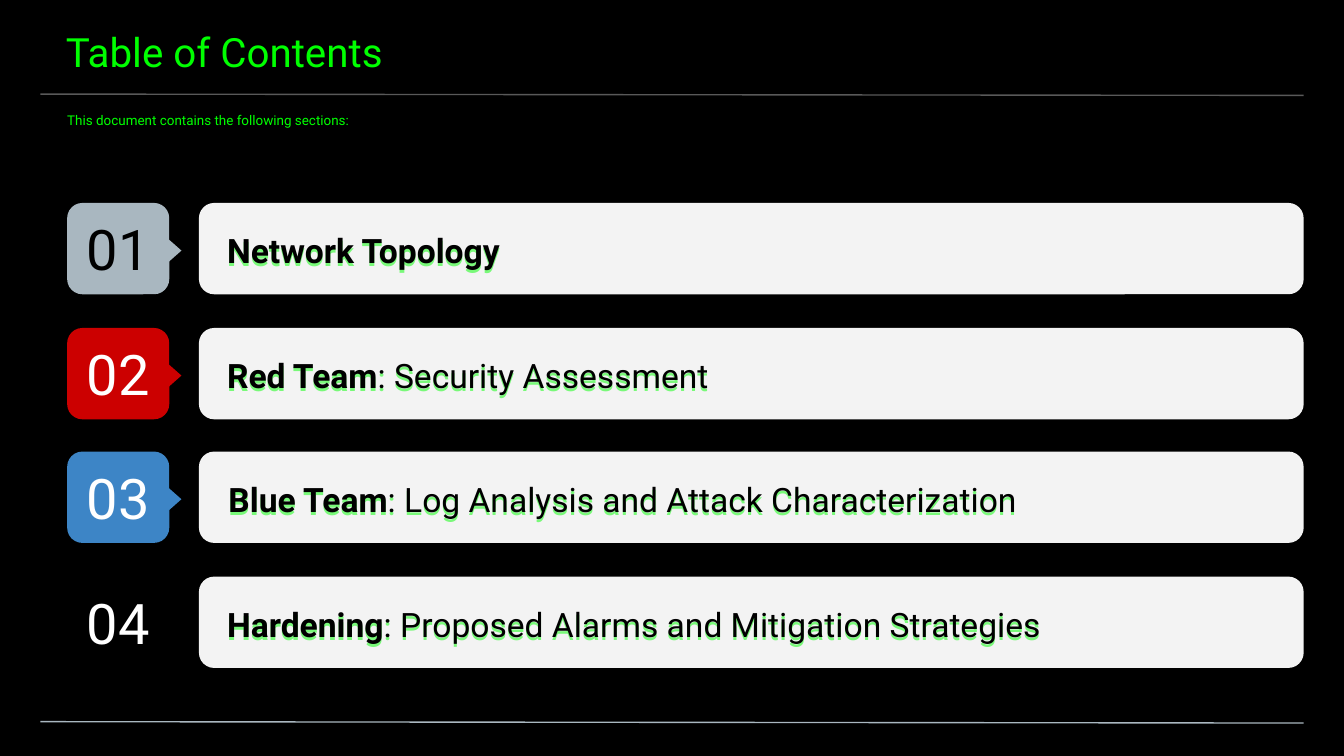
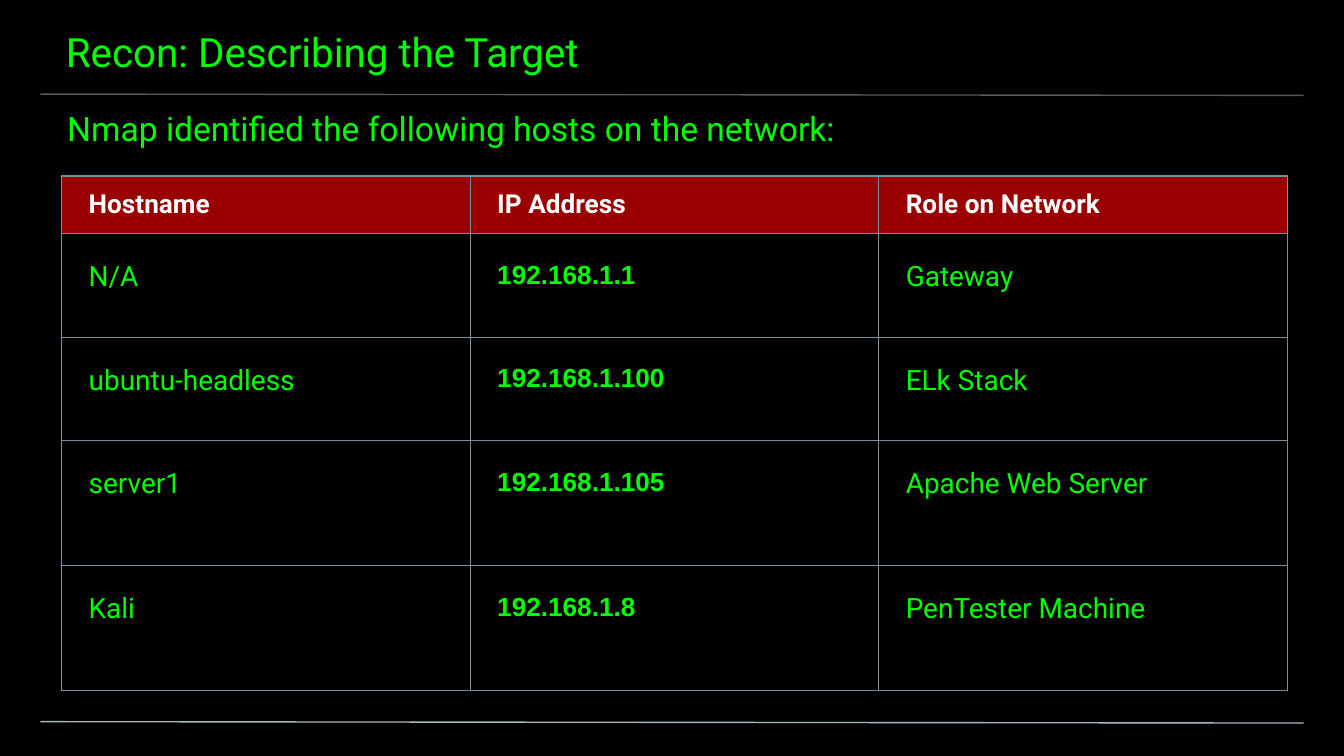
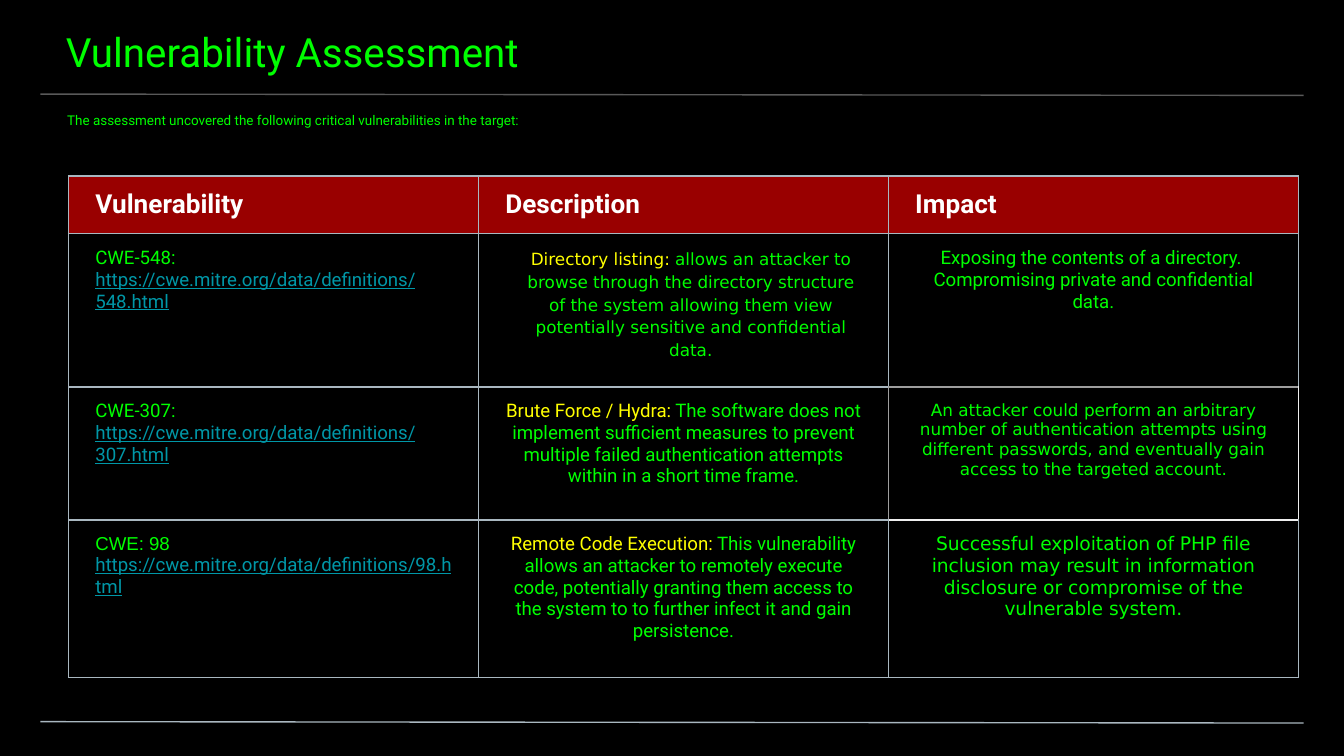
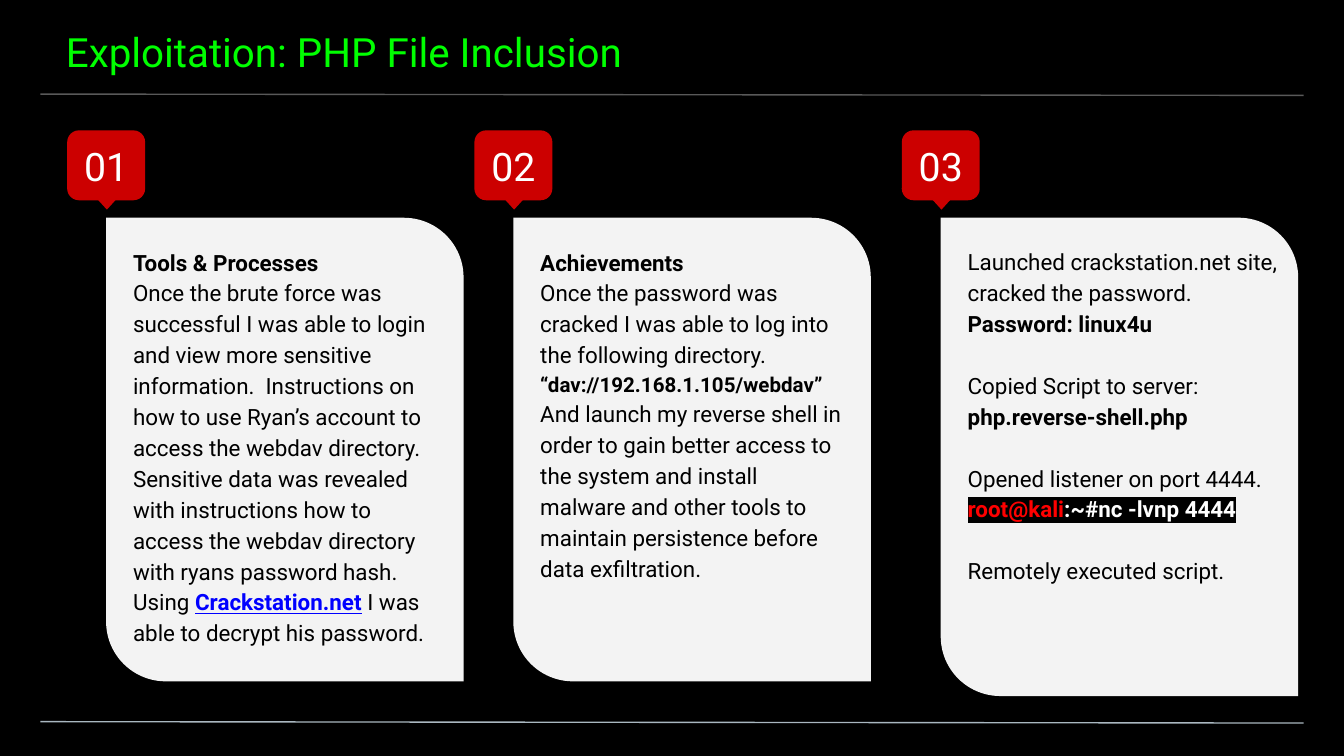
"""Build four slides of a security assessment report."""
from copy import deepcopy
from dataclasses import dataclass
from typing import Any, NamedTuple, Optional

from lxml import etree
from pptx import Presentation
from pptx.dml.color import RGBColor
from pptx.enum.shapes import MSO_CONNECTOR, MSO_SHAPE
from pptx.enum.text import MSO_ANCHOR, MSO_AUTO_SIZE, PP_ALIGN
from pptx.oxml.ns import qn
from pptx.util import Pt

PX = 9144
WIDE = 1000

BLACK = RGBColor(0x00, 0x00, 0x00)
WHITE = RGBColor(0xFF, 0xFF, 0xFF)
GREEN = RGBColor(0x00, 0xFF, 0x00)
YELLOW = RGBColor(0xFF, 0xFF, 0x00)
RED = RGBColor(0xCC, 0x00, 0x00)
BRIGHT = RGBColor(0xFF, 0x00, 0x00)
DARK = RGBColor(0x99, 0x00, 0x00)
BLUE = RGBColor(0x3D, 0x85, 0xC6)
LINK = RGBColor(0x00, 0x00, 0xFF)
TEAL = RGBColor(0x00, 0x97, 0xA7)
SILVER = RGBColor(0xA9, 0xB7, 0xC0)
SLATE = RGBColor(0x78, 0x90, 0x9C)
GREY = RGBColor(0x59, 0x59, 0x59)
ASH = RGBColor(0x9E, 0x9E, 0x9E)
MIST = RGBColor(0xEE, 0xEE, 0xEE)
PALE = RGBColor(0xF3, 0xF3, 0xF3)

SANS, ARIAL, DEJA = "Roboto", "Arial", "DejaVu Sans"
LEFT, CENTER = PP_ALIGN.LEFT, PP_ALIGN.CENTER
TOP, MIDDLE = MSO_ANCHOR.TOP, MSO_ANCHOR.MIDDLE
ROUND = MSO_SHAPE.ROUNDED_RECTANGLE
DIAG = MSO_SHAPE.ROUND_2_DIAG_RECTANGLE
POINT = MSO_SHAPE.FLOWCHART_EXTRACT
STRAIGHT = MSO_CONNECTOR.STRAIGHT


class Box(NamedTuple):
    x: int
    y: int
    w: int
    h: int


class Pad(NamedTuple):
    left: int
    top: int
    right: int
    bottom: int


class Edges(NamedTuple):
    L: RGBColor
    R: RGBColor
    T: RGBColor
    B: RGBColor


@dataclass(frozen=True)
class Run:
    text: str
    size: float = 12
    color: RGBColor = BLACK
    bold: bool = False
    under: bool = False
    font: str = SANS
    mark: Optional[RGBColor] = None
    wrap: bool = False


@dataclass(frozen=True)
class Para:
    runs: tuple[Run, ...]
    align: Any = LEFT
    line: float = 1.0
    before: float = 0
    after: float = 0


CELL = Pad(20, 10, 20, 10)


@dataclass(frozen=True)
class Cell:
    paras: tuple[Para, ...]
    pad: Pad = CELL
    anchor: Any = TOP
    fill: Optional[RGBColor] = BLACK
    edges: Optional[Edges] = None


@dataclass(frozen=True)
class Grid:
    x: int
    y: int
    col: int
    rows: tuple[int, ...]
    edge: RGBColor


@dataclass(frozen=True)
class Topic:
    head: str
    rest: str
    fill: RGBColor
    ink: RGBColor = WHITE
    x: int = -1


@dataclass(frozen=True)
class Panel:
    x: int
    high: int
    wide: int
    paras: tuple[Para, ...]


def apply(target: Any, values: dict[str, Any]) -> None:
    for key, value in values.items():
        setattr(target, key, value)


def scale(box: tuple[int, ...]) -> list[int]:
    return [value * PX for value in box]


def margins(pad: Pad) -> dict[str, int]:
    return {f"margin_{side}": value * PX for side, value in pad._asdict().items()}


def child(parent: Any, tag: str, **attrs: str) -> Any:
    return etree.SubElement(parent, qn(tag), attrs)


def tint(parent: Any, color: RGBColor) -> Any:
    return child(parent, "a:srgbClr", val=str(color))


def write(frame: Any, paras: tuple[Para, ...]) -> None:
    for index, para in enumerate(paras):
        target = frame.add_paragraph() if index else frame.paragraphs[0]
        apply(target, {"alignment": para.align, "line_spacing": para.line,
                       "space_before": Pt(para.before), "space_after": Pt(para.after)})
        for run in para.runs:
            part = target.add_run()
            part.text = run.text
            part.font.color.rgb = run.color
            if run.mark is not None:
                tint(child(part.font._element, "a:highlight"), run.mark)
            apply(part.font, {"size": Pt(run.size), "bold": run.bold,
                              "underline": run.under, "name": run.font})
            if run.wrap:
                target.add_line_break()
                target._p[-1].append(deepcopy(part.font._element))


def fill_text(shape: Any, paras: tuple[Para, ...], pad: Pad, anchor: Any = TOP) -> None:
    frame = shape.text_frame
    apply(frame, {"word_wrap": True, "auto_size": MSO_AUTO_SIZE.NONE,
                  "vertical_anchor": anchor, **margins(pad)})
    write(frame, paras)


def add_text(slide: Any, box: Box, paras: tuple[Para, ...], pad: Pad, anchor: Any = TOP) -> Any:
    shape = slide.shapes.add_textbox(*scale(box))
    fill_text(shape, paras, pad, anchor)
    return shape


def add_form(shapes: Any, kind: Any, box: Box, fill: RGBColor,
             adjust: tuple[float, ...] = (), turn: int = 0) -> Any:
    shape = shapes.add_shape(kind, *scale(box))
    shape.shadow.inherit = False
    shape.fill.solid()
    shape.fill.fore_color.rgb = fill
    shape.line.fill.background()
    shape.rotation = turn
    for index, value in enumerate(adjust):
        shape.adjustments[index] = value
    return shape


def add_badge(slide: Any, box: Box, tip: Box, turn: int, number: int,
              size: int, fill: RGBColor, ink: RGBColor = WHITE) -> None:
    shapes = slide.shapes.add_group_shape().shapes
    tile = add_form(shapes, ROUND, box, fill, (0.167,))
    label = Run(f"{number:02d}", size, ink)
    fill_text(tile, (Para((label,), CENTER),), Pad(10, 10, 10, 10), MIDDLE)
    add_form(shapes, POINT, tip, fill, turn=turn)


def add_rule(slide: Any, y: int, color: RGBColor) -> None:
    rule = slide.shapes.add_connector(STRAIGHT, *scale((30, y, 970, y + 1)))
    rule.line.color.rgb = color
    rule.line.width = Pt(0.75)
    child(rule._element.spPr, "a:effectLst")


def place(shape: Any, box: Box) -> None:
    apply(shape, dict(zip(("left", "top", "width", "height"), scale(box))))


def add_slide(deck: Any, title: str, lead: Optional[Para] = None) -> Any:
    slide = deck.slides.add_slide(deck.slide_layouts[0 if lead else 5])
    add_rule(slide, 70, GREY)
    add_rule(slide, 537, SILVER)
    head = slide.shapes.title
    place(head, Box(-1, 0, 1003, 58))
    fill_text(head, (Para((Run(title, 21.6, GREEN),)),), Pad(50, 20, 30, 10))
    if lead:
        body = slide.placeholders[1]
        place(body, Box(0, 74, 1000, 40))
        fill_text(body, (lead,), Pad(50, 10, 50, 0))
    return slide


def small(text: str) -> Para:
    return Para((Run(text, 7.2, GREEN),), line=0.95, after=12)


def add_grid(slide: Any, grid: Grid, heads: tuple[str, ...],
             body: list[tuple[Cell, ...]]) -> None:
    top = tuple(Cell((Para((Run(head, 14, WHITE, True),)),), anchor=MIDDLE, fill=DARK)
                for head in heads)
    rows = [top, *body]
    box = Box(grid.x, grid.y, grid.col * len(heads), sum(grid.rows))
    table = slide.shapes.add_table(len(rows), len(heads), *scale(box)).table
    table.first_row = table.horz_banding = False
    for column in table.columns:
        column.width = grid.col * PX
    plain_edges = Edges(*[grid.edge] * 4)
    for r, (row, high) in enumerate(zip(rows, grid.rows)):
        table.rows[r].height = high * PX
        for c, item in enumerate(row):
            cell = table.cell(r, c)
            apply(cell, {"vertical_anchor": item.anchor, **margins(item.pad)})
            write(cell.text_frame, item.paras)
            props = cell._tc.get_or_add_tcPr()
            for side, color in (item.edges or plain_edges)._asdict().items():
                edge = child(props, f"a:ln{side}", w=str(Pt(0.75)))
                tint(child(edge, "a:solidFill"), color)
            if item.fill is None:
                cell.fill.background()
            else:
                cell.fill.solid()
                cell.fill.fore_color.rgb = item.fill


def glow(shape: Any) -> None:
    effect = child(shape._element.spPr, "a:effectLst")
    shadow = child(effect, "a:outerShdw", dist="19050", dir="5400000",
                   algn="bl", rotWithShape="0")
    child(tint(shadow, GREEN), "a:alpha", val="50000")


def contents(deck: Any) -> None:
    slide = add_slide(deck, "Table of Contents",
                      small("This document contains the following sections:"))
    topics = (
        Topic("Network Topology", "", SILVER, BLACK),
        Topic("Red Team", ": Security Assessment", RED),
        Topic("Blue Team", ": Log Analysis and Attack Characterization", BLUE, x=0),
        Topic("Hardening", ": Proposed Alarms and Mitigation Strategies", BLACK),
    )
    for index, topic in enumerate(topics):
        y = 151 + round(index * 278 / 3)
        add_form(slide.shapes, ROUND, Box(148, y, 822, 68), PALE, (0.167,))
        add_badge(slide, Box(50, y, 76, 68), Box(106, y + 25, 37, 21), 90,
                  index + 1, 30, topic.fill, topic.ink)
        runs = [Run(topic.head, 18, bold=True)]
        if topic.rest:
            runs.append(Run(topic.rest, 18))
        glow(add_text(slide, Box(topic.x, y, 1003, 66), (Para(tuple(runs), line=1.15),),
                      Pad(170, 0, 50, 0), MIDDLE))


def recon(deck: Any) -> None:
    lead = Run("Nmap identified the following hosts on the network:", 18, GREEN)
    slide = add_slide(deck, "Recon: Describing the Target", Para((lead,), line=0.9))
    hosts = (
        ("N/A", "192.168.1.1", "Gateway"),
        ("ubuntu-headless", "192.168.1.100", "ELk Stack"),
        ("server1", "192.168.1.105", "Apache Web Server"),
        ("Kali", "192.168.1.8", "PenTester Machine"),
    )
    body = []
    for name, address, role in hosts:
        runs = (Run(name, 15, GREEN), Run(address, 14, GREEN, True, font=ARIAL),
                Run(role, 15, GREEN))
        body.append(tuple(Cell((Para((run,)),), Pad(20, 20, 20, 10)) for run in runs))
    add_grid(slide, Grid(46, 131, 304, (41, 77, 77, 93, 93), SLATE),
             ("Hostname", "IP Address", "Role on Network"), body)


def weakness(name: str, page: str, font: str = SANS, split: bool = False) -> Cell:
    link = f"https://cwe.mitre.org/data/definitions/{page}.html"
    head = Run(name, 10, GREEN, font=font, wrap=not split)
    tail = Run(link, 10, TEAL, under=True)
    paras = (Para((head,)), Para((tail,))) if split else (Para((head, tail)),)
    return Cell(paras, fill=None)


def detail(head: str, rest: str, size: int = 10, font: str = SANS, pad: Pad = CELL,
           line: float = 1.0, edges: Optional[Edges] = None) -> Cell:
    runs = (Run(head, size, YELLOW, font=font), Run(rest, size, GREEN, font=font))
    return Cell((Para(runs, CENTER, line),), pad, edges=edges)


def impact(text: str, edges: Edges, size: int = 10, font: str = SANS) -> Cell:
    run = Run(text, size, GREEN, font=font)
    return Cell((Para((run,), CENTER),), fill=None, edges=edges)


def assess(deck: Any) -> None:
    slide = add_slide(deck, "Vulnerability Assessment", small(
        "The assessment uncovered the following critical vulnerabilities in the target:"))
    body = [
        (weakness("CWE-548:", "548"),
         detail("Directory listing:", " allows an attacker to browse through the directory "
                "structure of the system allowing them view potentially sensitive and "
                "confidential data.", 9, DEJA, Pad(31, 10, 20, 10), 1.15),
         impact("Exposing the contents of a directory.  Compromising private and "
                "confidential data.", Edges(SILVER, SILVER, SILVER, ASH))),
        (weakness("CWE-307:", "307", split=True),
         detail("Brute Force / Hydra:", " The software does not implement sufficient "
                "measures to prevent multiple failed authentication attempts within in a "
                "short time frame.", edges=Edges(SILVER, ASH, SILVER, SILVER)),
         impact("An attacker could perform an arbitrary number of authentication attempts "
                "using different passwords, and eventually gain access to the targeted "
                "account.", Edges(ASH, MIST, ASH, MIST), 9, DEJA)),
        (weakness("CWE: 98", "98", ARIAL),
         detail("Remote Code Execution:", " This vulnerability allows an attacker to "
                "remotely execute code, potentially granting them access to the system to "
                "to further infect it and gain persistence."),
         impact("Successful exploitation of PHP file inclusion may result in information "
                "disclosure or compromise of the vulnerable system.",
                Edges(SILVER, SILVER, MIST, SILVER), 10, DEJA)),
    ]
    add_grid(slide, Grid(51, 131, 305, (42, 114, 99, 117), SILVER),
             ("Vulnerability", "Description", "Impact"), body)


def plain(*runs: Run, before: float = 0) -> Para:
    return Para(runs, line=1.15, before=before)


def exploit(deck: Any) -> None:
    slide = add_slide(deck, "Exploitation: PHP File Inclusion")
    gap = 16.5
    panels = (
        Panel(50, 345, 259, (
            plain(Run("Tools & Processes", bold=True)),
            plain(Run("Once the brute force was successful I was able to login and view more "
                      "sensitive information.  Instructions on how to use Ryan’s account to "
                      "access the webdav directory. Sensitive data was revealed with "
                      "instructions how to access the webdav directory with ryans password "
                      "hash. Using "),
                  Run("Crackstation.net", color=LINK, bold=True, under=True),
                  Run(" I was able to decrypt his password.")),
        )),
        Panel(353, 345, 266, (
            plain(Run("Achievements", bold=True)),
            plain(Run("Once the password was cracked I was able to log into the following "
                      "directory.", wrap=True),
                  Run("“dav://192.168.1.105/webdav”", 11, bold=True, wrap=True),
                  Run("And launch my reverse shell in order to gain better access to the "
                      "system and install malware and other tools to maintain persistence "
                      "before data exfiltration.")),
        )),
        Panel(671, 356, 275, (
            plain(Run("Launched crackstation.net site, cracked the password. ", wrap=True),
                  Run("Password: linux4u", bold=True)),
            plain(Run("Copied Script to server: "), Run("php.reverse-shell.php", bold=True),
                  before=gap),
            plain(Run("Opened listener on port 4444.", wrap=True),
                  Run("root@kali", color=BRIGHT, bold=True, mark=BLACK),
                  Run(":~#nc -lvnp 4444", color=WHITE, bold=True, mark=BLACK), before=gap),
            plain(Run("Remotely executed script."), before=gap),
        )),
    )
    for index, panel in enumerate(panels):
        x = panel.x + 29
        card = add_form(slide.shapes, DIAG, Box(x, 162, 266, panel.high), PALE, (0.167, 0))
        card._element.spPr.xfrm.set("flipH", "1")
        add_text(slide, Box(x, 162, panel.wide, panel.high), panel.paras,
                 Pad(20, 20, 20, 20))
        add_badge(slide, Box(panel.x, 97, 58, 52), Box(panel.x + 15, 140, 29, 16), 180,
                  index + 1, 21, RED)


def main() -> None:
    deck = Presentation()
    apply(deck, {"slide_width": WIDE * PX, "slide_height": WIDE * PX * 9 // 16})
    back = deck.slide_master.background.fill
    back.solid()
    back.fore_color.rgb = BLACK
    for build in (contents, recon, assess, exploit):
        build(deck)
    deck.save("out.pptx")


if __name__ == "__main__":
    main()
